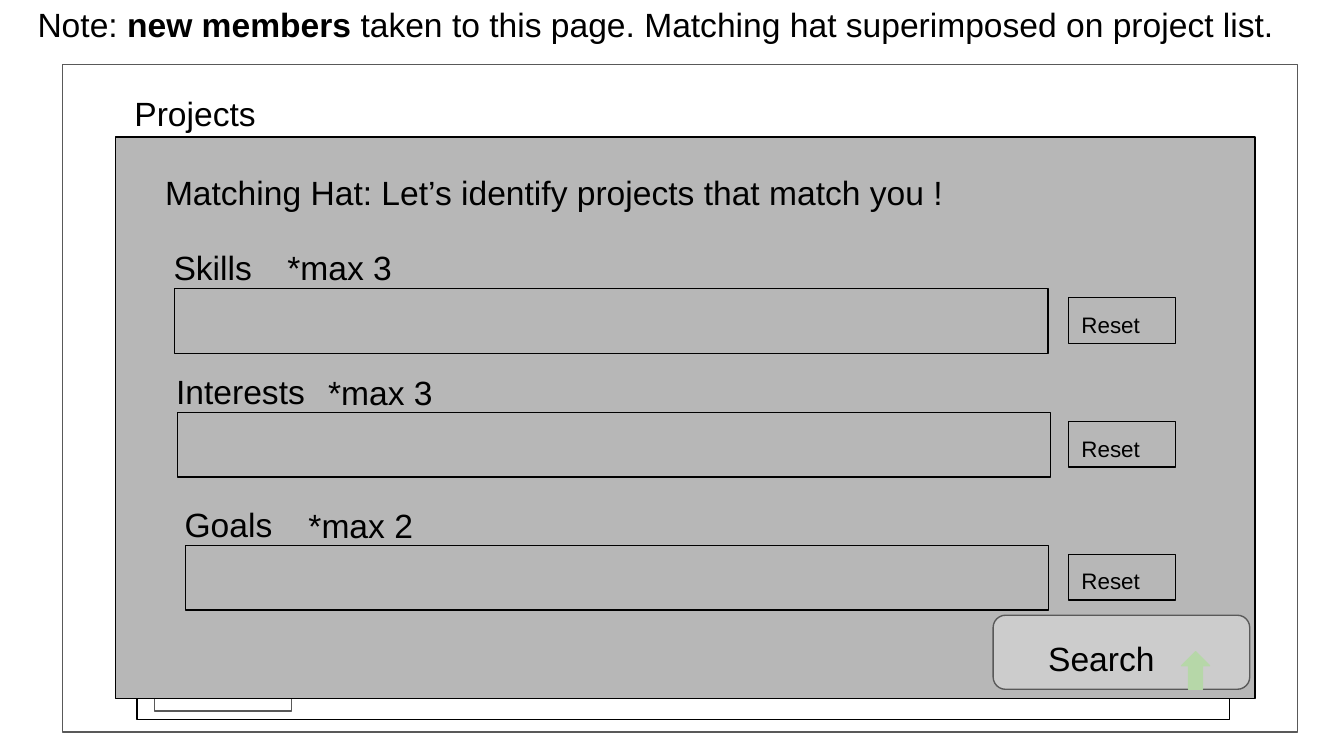
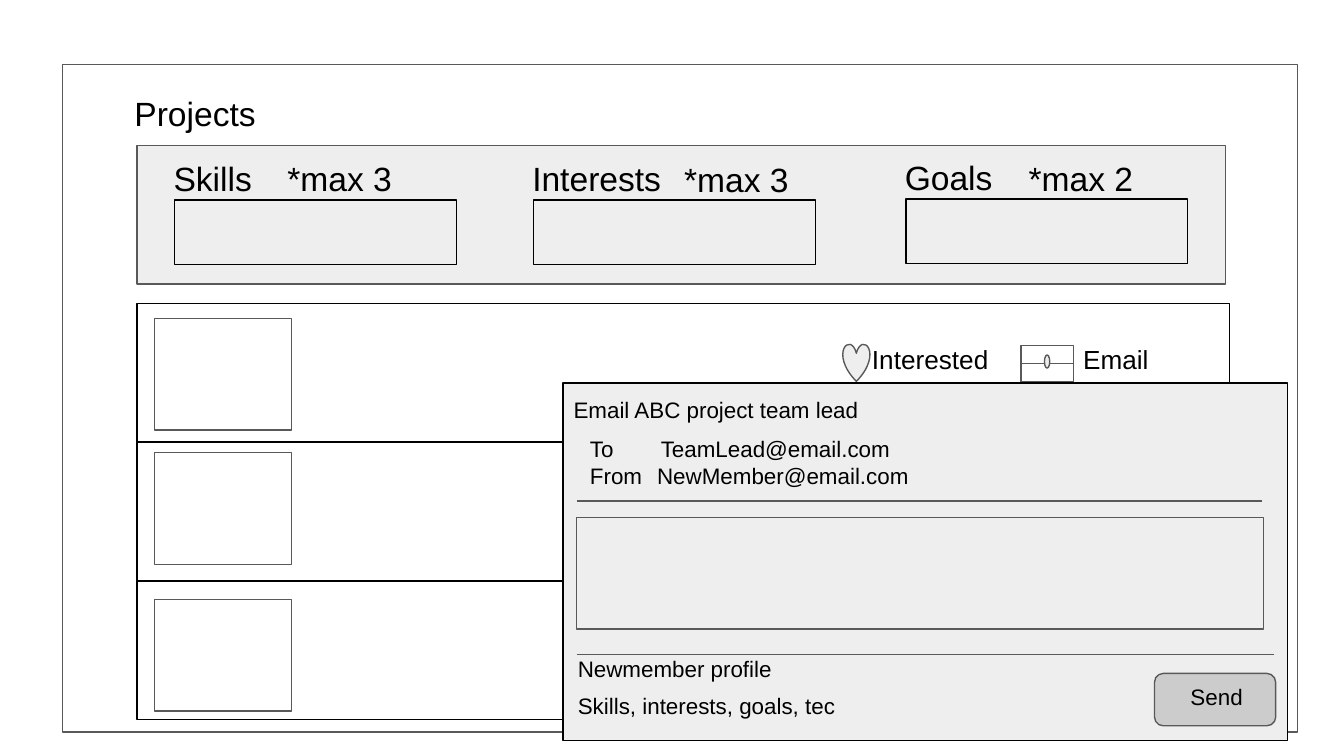
import pptx
import pptx.util
import pptx.dml.color
import pptx.enum.shapes
import pptx.enum.text
import lxml.etree

Cm, Pt = pptx.util.Cm, pptx.util.Pt
SHAPE = pptx.enum.shapes.MSO_SHAPE
TEXT = pptx.enum.text

BLACK, GREY = "000000", "595959"
PANEL, BUTTON, PALE, GREEN = "B7B7B7", "CCCCCC", "EEEEEE", "B6D7A8"
FONT, INSET, LINE_HEIGHT = "Arial", 0.25, 1.22

FRAME = (1.18, 1.22, 23.34, 12.62)
TITLE = ("Projects", 2.29, 1.5, 3.86, LINE_HEIGHT)
ROW_LEFT, ROW_TOP, ROW_WIDTH, ROW_HEIGHT = 2.59, 5.74, 20.65, 2.62
PHOTO_LEFT, PHOTO_WIDTH, PHOTO_HEIGHT = 2.92, 2.59, 2.11
PHOTO_TOPS = [6.02, 8.56, 11.33]

FIELDS = [
    {"label": "Skills", "hint": "*max 3", "width": 2.03, "hint_dx": 1.88, "hint_dy": 0},
    {"label": "Interests", "hint": "*max 3", "width": 2.95, "hint_dx": 2.6, "hint_dy": 0.02},
    {"label": "Goals", "hint": "*max 2", "width": 2.95, "hint_dx": 2.07, "hint_dy": 0.02},
]
HAT_BOXES = [(3.3, 5.46, 16.51), (3.35, 7.8, 16.51), (3.51, 10.31, 16.31)]
FILTER_BOXES = [(3.3, 3.78, 5.33), (10.08, 3.78, 5.33), (17.12, 3.76, 5.33)]

NOTE = [("Note: ", False), ("new members", True),
        (" taken to this page. Matching hat superimposed on project list.", False)]
HAT_TEXTS = [
    ("Matching Hat: Let’s identify projects that match you !", 2.87, 3, 16.18, LINE_HEIGHT),
]
ACTION_TEXTS = [
    ("Interested", 16.23, 6.25, 2.95, LINE_HEIGHT),
    ("Email", 20.22, 6.25, 2.95, LINE_HEIGHT),
]
EMAIL_TEXTS = [
    ("Email ABC project team lead", 10.59, 7.24, 7.32, LINE_HEIGHT),
    ("To", 10.9, 7.98, 1.12, 0.99),
    ("TeamLead@email.com", 12.24, 7.97, 7.87, 0.69),
    ("From", 10.9, 8.48, 1.6, 0.69),
    ("NewMember@email.com", 12.17, 8.48, 7.87, LINE_HEIGHT),
    ("Newmember profile", 10.67, 12.14, 7.32, LINE_HEIGHT),
    ("Skills, interests, goals, tec", 10.67, 12.83, 7.32, LINE_HEIGHT),
]
EMAIL_RULES = [(10.9, 23.85, 9.47), (10.9, 24.08, 12.37)]


def rgb(value):
    return pptx.dml.color.RGBColor.from_string(value)


def set_text(sp, runs, size):
    tf = sp.text_frame
    tf.word_wrap = True
    tf.auto_size = TEXT.MSO_AUTO_SIZE.NONE
    tf.vertical_anchor = TEXT.MSO_ANCHOR.TOP
    tf.margin_left = tf.margin_right = tf.margin_top = tf.margin_bottom = Cm(INSET)
    p = tf.paragraphs[0]
    p.alignment = TEXT.PP_ALIGN.LEFT
    p.font.name, p.font.size = FONT, Pt(size)
    p.font.color.rgb = rgb(BLACK)
    for text, bold in runs:
        r = p.add_run()
        r.text = text
        if bold:
            r.font.bold = True


def add_text(s, text, x, y, w, h, size=18):
    sp = s.shapes.add_textbox(Cm(x), Cm(y), Cm(w), Cm(h))
    set_text(sp, [(text, False)] if isinstance(text, str) else text, size)


def add_box(shapes, x, y, w, h, fill=None, line=BLACK, kind=SHAPE.RECTANGLE):
    sp = shapes.add_shape(kind, Cm(x), Cm(y), Cm(w), Cm(h))
    sp.shadow.inherit = False
    if fill:
        sp.fill.solid()
        sp.fill.fore_color.rgb = rgb(fill)
    else:
        sp.fill.background()
    sp.line.color.rgb = rgb(line)
    sp.line.width = Pt(0.75)
    return sp


def add_rule(shapes, x1, x2, y):
    c = shapes.add_connector(pptx.enum.shapes.MSO_CONNECTOR.STRAIGHT,
                             Cm(x1), Cm(y), Cm(x2), Cm(y))
    c.line.color.rgb = rgb(GREY)
    c.line.width = Pt(0.75)
    lxml.etree.SubElement(c._element.spPr, pptx.oxml.ns.qn("a:effectLst"))


def add_page(prs):
    s = prs.slides.add_slide(prs.slide_layouts[5])
    text, *place = TITLE
    sp = s.shapes.title
    sp.left, sp.top, sp.width, sp.height = map(Cm, place)
    set_text(sp, [(text, False)], 18)
    add_box(s.shapes, *FRAME, line=GREY)
    return s


def add_project(s, i):
    add_box(s.shapes, ROW_LEFT, ROW_TOP + i * ROW_HEIGHT, ROW_WIDTH, ROW_HEIGHT)
    add_box(s.shapes, PHOTO_LEFT, PHOTO_TOPS[i], PHOTO_WIDTH, PHOTO_HEIGHT, line=GREY)


def add_fields(s, boxes):
    for field, (x, y, w) in zip(FIELDS, boxes):
        label_top = y - 1.04
        add_text(s, field["label"], x - 0.27, label_top, field["width"], LINE_HEIGHT)
        add_text(s, field["hint"], x + field["hint_dx"], label_top + field["hint_dy"],
                 2.95, LINE_HEIGHT)
        add_box(s.shapes, x, y, w, 1.22)


def add_envelope(s, x, y, w, h):
    shapes = s.shapes.add_group_shape().shapes
    add_box(shapes, x, y, w, h, line=GREY)
    add_rule(shapes, x, x + w, y + h / 2)
    add_box(shapes, x + 0.44, y + 0.18, 0.1, 0.25, PALE, GREY, SHAPE.OVAL)


def build_matching_hat(prs):
    s = add_page(prs)
    add_project(s, 2)
    add_box(s.shapes, 2.18, 2.59, 21.54, 10.62, PANEL)
    for item in HAT_TEXTS:
        add_text(s, *item)
    add_fields(s, HAT_BOXES)
    for x, y, w in HAT_BOXES:
        set_text(add_box(s.shapes, 20.19, y + 0.17, 2.03, 0.86), [("Reset", False)], 12)
    add_box(s.shapes, 18.77, 11.63, 4.85, 1.4, BUTTON, GREY, SHAPE.ROUNDED_RECTANGLE)
    add_text(s, "Search", 19.56, 11.81, 4.65, LINE_HEIGHT)
    add_box(s.shapes, 22.33, 12.32, 0.53, 0.71, GREEN, GREEN, SHAPE.UP_ARROW)
    add_text(s, NOTE, 0.46, -0.18, 24.05, 2.21)


def build_email(prs):
    s = add_page(prs)
    add_box(s.shapes, ROW_LEFT, 2.75, 20.57, ROW_HEIGHT, PALE, GREY)
    add_fields(s, FILTER_BOXES)
    for i in range(len(PHOTO_TOPS)):
        add_project(s, i)
    add_box(s.shapes, 15.93, 6.5, 0.51, 0.71, PALE, GREY, SHAPE.HEART)
    add_envelope(s, 19.3, 6.53, 0.99, 0.69)
    for item in ACTION_TEXTS:
        add_text(s, *item, size=14)
    add_box(s.shapes, 10.64, 7.24, 13.69, 6.76, PALE)
    add_box(s.shapes, 10.9, 9.78, 12.98, 2.11, PALE, GREY)
    for rule in EMAIL_RULES:
        add_rule(s.shapes, *rule)
    for item in EMAIL_TEXTS:
        add_text(s, *item, size=12)
    add_box(s.shapes, 21.82, 12.73, 2.29, 0.99, BUTTON, GREY, SHAPE.ROUNDED_RECTANGLE)
    add_text(s, "Send", 22.25, 12.67, 1.6, 0.86, size=12)


prs = pptx.Presentation()
prs.slide_width, prs.slide_height = Cm(25.4), Cm(14.29)
build_matching_hat(prs)
build_email(prs)
prs.save("out.pptx")
